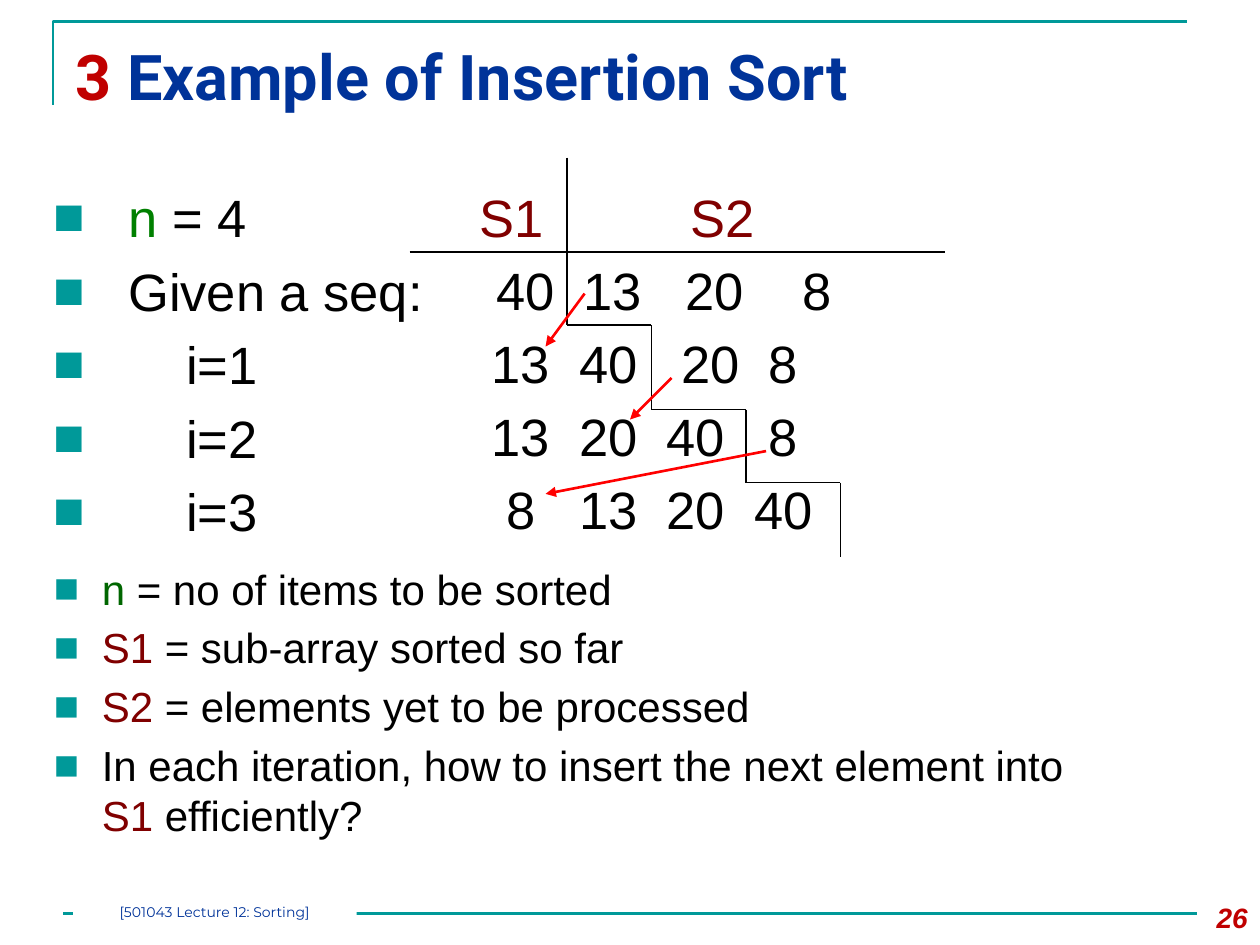
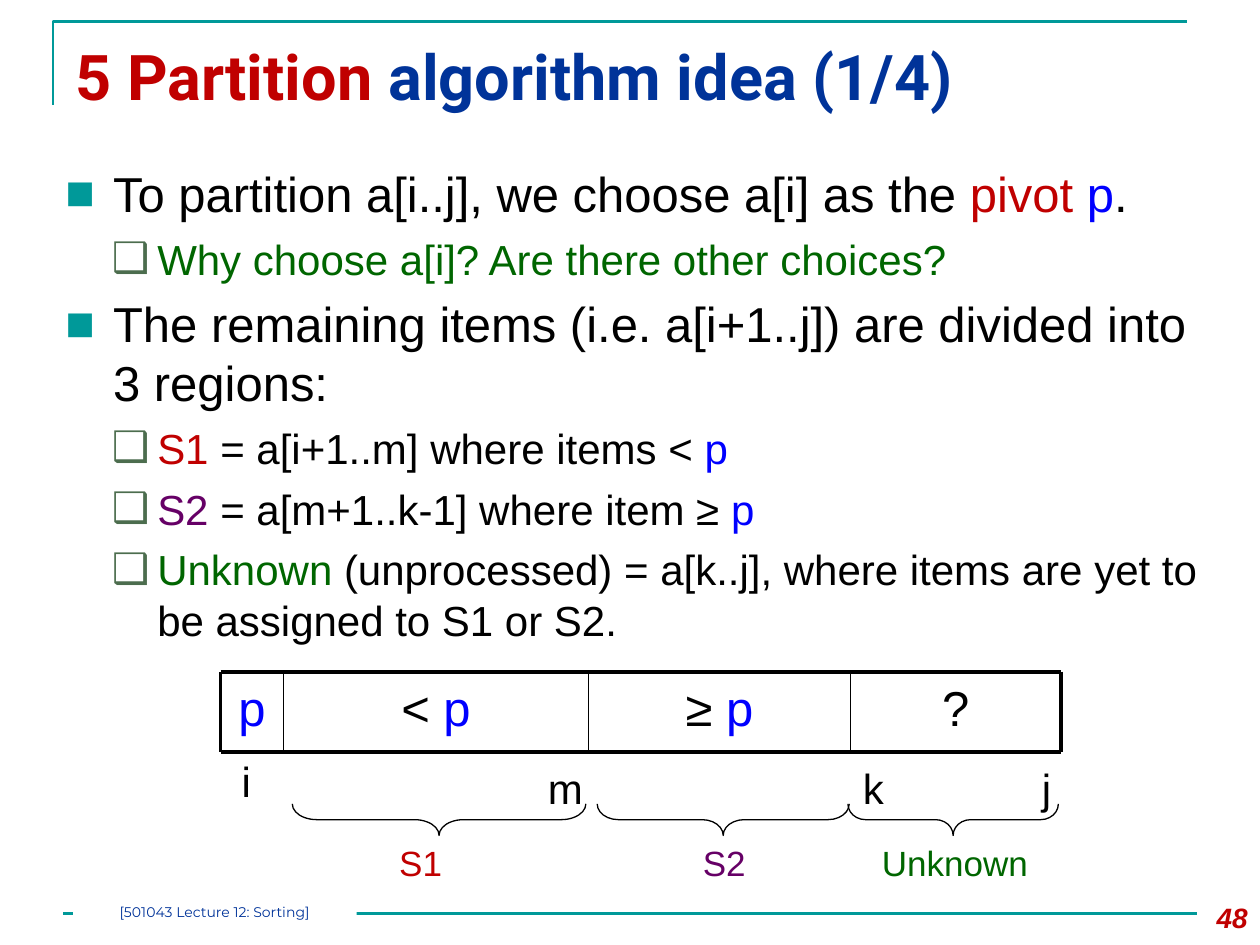
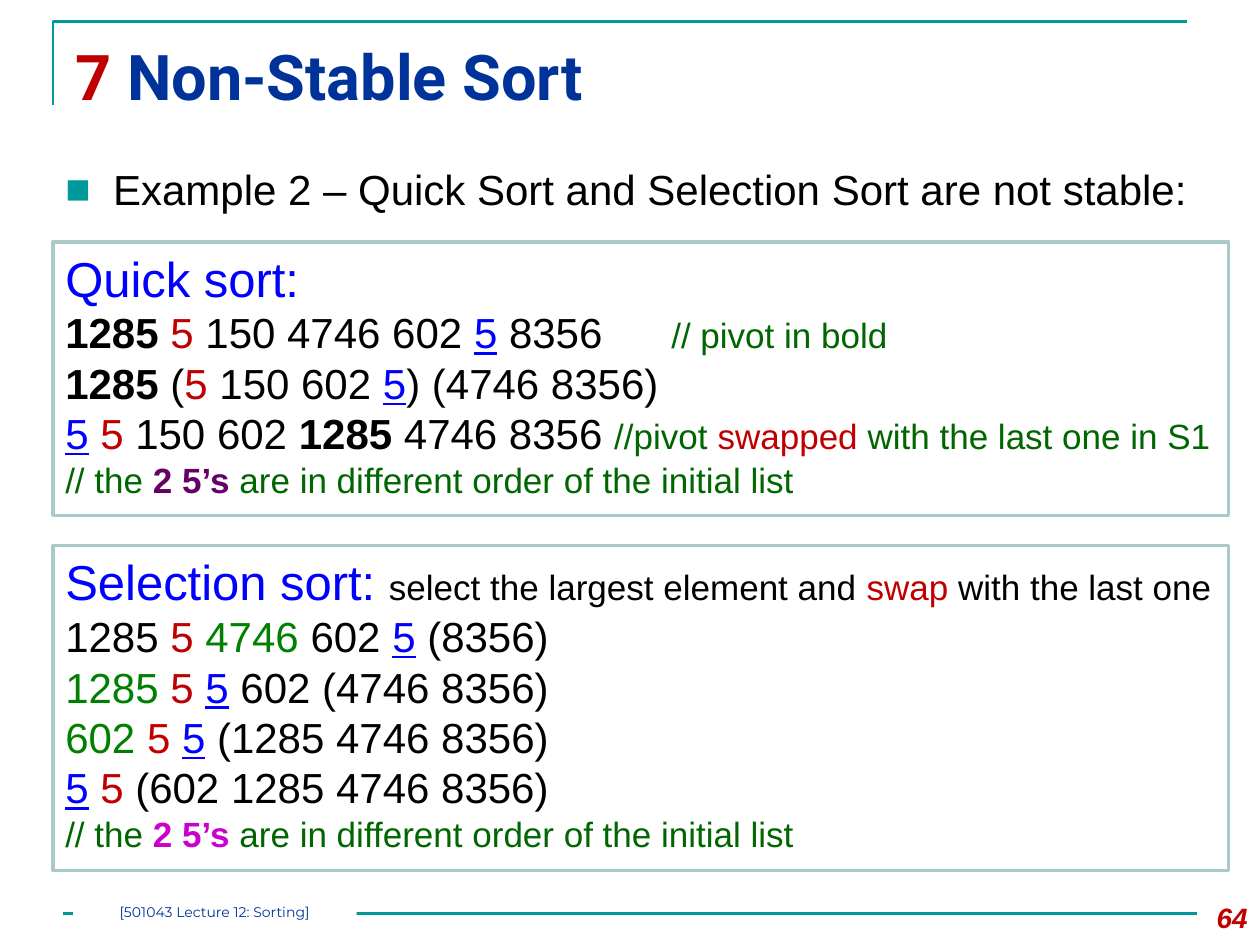
import itertools
from dataclasses import dataclass

import lxml.etree
import pptx
import pptx.dml.color
import pptx.enum.shapes
import pptx.enum.text
import pptx.oxml.ns
import pptx.util

Inches = pptx.util.Inches
ALIGN = pptx.enum.text.PP_ALIGN

COLORS = {
    "teal": "009999", "navy": "003399", "crimson": "C00000", "black": "000000",
    "white": "FFFFFF", "maroon": "800000", "green": "008000", "forest": "006600",
    "blue": "0000FF", "purple": "660066", "magenta": "CC00CC", "red": "FF0000",
    "sage": "4C6D4E", "border": "AACACA",
}
BULLETS = {
    "square": ("■", "teal"),
    "box": ("❑", "sage"),
}


@dataclass
class Line:
    """One paragraph; each run is (text, colour[, style letters[, size]])."""
    size: float
    runs: list
    bullet: str = ""
    margin: float = 0
    hanging: float = 0
    before: float = 0
    tabs: tuple = ()
    align: int = ALIGN.LEFT
    font: str = "Arial"


def rgb(name):
    """Return the named colour."""
    return pptx.dml.color.RGBColor.from_string(COLORS[name])


def add_element(parent, tag, **attributes):
    """Append a drawing element to parent."""
    element = lxml.etree.SubElement(parent, pptx.oxml.ns.qn(tag))
    for name, value in attributes.items():
        element.set(name, str(value))
    return element


def set_bullet_and_tabs(paragraph, line):
    """Give a paragraph its indents, bullet and tab stops."""
    properties = paragraph._p.get_or_add_pPr()
    if line.bullet:
        character, color = BULLETS[line.bullet]
        properties.set("marL", str(Inches(line.margin)))
        properties.set("indent", str(Inches(-line.hanging)))
        bullet_color = add_element(properties, "a:buClr")
        add_element(bullet_color, "a:srgbClr", val=COLORS[color])
        add_element(properties, "a:buSzPct", val=100000)
        add_element(properties, "a:buFont", typeface="Arial")
        add_element(properties, "a:buChar", char=character)
    if line.tabs:
        tab_list = add_element(properties, "a:tabLst")
        for position in line.tabs:
            add_element(tab_list, "a:tab", pos=Inches(position), algn="l")


def write_lines(text_frame, lines):
    """Fill a text frame with formatted lines."""
    for index, line in enumerate(lines):
        paragraph = text_frame.add_paragraph() if index else text_frame.paragraphs[0]
        set_bullet_and_tabs(paragraph, line)
        paragraph.alignment = line.align
        if line.before:
            paragraph.space_before = pptx.util.Pt(line.before)
        for text, color, *extra in line.runs:
            style = extra[0] if extra else ""
            run = paragraph.add_run()
            run.text = text
            run.font.name = line.font
            run.font.size = pptx.util.Pt(extra[1] if len(extra) > 1 else line.size)
            run.font.color.rgb = rgb(color)
            run.font.bold = "b" in style
            run.font.italic = "i" in style
            run.font.underline = "u" in style


def add_text(slide, left, top, width, height, lines, wrap=True):
    """Add a text box."""
    box = slide.shapes.add_textbox(*map(Inches, (left, top, width, height)))
    box.text_frame.word_wrap = wrap
    write_lines(box.text_frame, lines)


def add_panel(slide, left, top, width, height, lines, border=None, inset=None):
    """Add a white rectangle with text."""
    rectangle = pptx.enum.shapes.MSO_SHAPE.RECTANGLE
    shape = slide.shapes.add_shape(rectangle, *map(Inches, (left, top, width, height)))
    shape.shadow.inherit = False
    shape.fill.solid()
    shape.fill.fore_color.rgb = rgb("white")
    if border:
        shape.line.color.rgb = rgb(border)
        shape.line.width = pptx.util.Pt(2)
    else:
        shape.line.fill.background()
    frame = shape.text_frame
    frame.word_wrap = True
    frame.vertical_anchor = pptx.enum.text.MSO_ANCHOR.TOP
    if inset is not None:
        frame.margin_left = frame.margin_right = Inches(inset)
        frame.margin_top = frame.margin_bottom = Inches(inset)
    write_lines(frame, lines)


def add_line(slide, start, end, color="black", width=0.75, arrow=False):
    """Add a straight line, with an arrowhead at its end if asked."""
    straight = pptx.enum.shapes.MSO_CONNECTOR.STRAIGHT
    connector = slide.shapes.add_connector(straight, *map(Inches, (*start, *end)))
    connector.line.color.rgb = rgb(color)
    connector.line.width = pptx.util.Pt(width)
    if arrow:
        add_element(connector.line._get_or_add_ln(), "a:tailEnd", type="triangle")
    add_element(connector._element.spPr, "a:effectLst")


def add_brace(slide, left, top, span):
    """Add a brace that opens upwards over a horizontal span."""
    depth = 0.25
    brace = slide.shapes.add_shape(
        pptx.enum.shapes.MSO_SHAPE.LEFT_BRACE,
        Inches(left + (span - depth) / 2), Inches(top + (depth - span) / 2),
        Inches(depth), Inches(span))
    brace.rotation = 270
    brace.adjustments[0] = span / 3
    brace.shadow.inherit = False
    brace.fill.background()
    brace.line.color.rgb = rgb("black")
    brace.line.width = pptx.util.Pt(0.75)


def add_base_slide(presentation, title_runs, number):
    """Add a slide with the shared frame, title, footer and number."""
    slide = presentation.slides.add_slide(presentation.slide_layouts[6])
    builder = slide.shapes.build_freeform(Inches(0.42), Inches(0.83))
    corner = [(Inches(0.42), Inches(0.17)), (Inches(9.42), Inches(0.17))]
    builder.add_line_segments(corner, close=False)
    frame = builder.convert_to_shape()
    frame.shadow.inherit = False
    frame.fill.background()
    frame.line.color.rgb = rgb("teal")
    frame.line.width = pptx.util.Pt(1.5)
    add_line(slide, (0.5, 7.25), (9.5, 7.25), "teal", 1.5)
    add_text(slide, 0.5, 0.25, 9, 1, [Line(36, title_runs, font="Roboto")])
    add_text(slide, 9.33, 7.1, 0.67, 0.4,
             [Line(16, [(str(number), "crimson", "bi")], align=ALIGN.RIGHT)])
    footer = Line(8, [("[501043 Lecture 12: Sorting]", "navy")],
                  align=ALIGN.CENTER, font="Montserrat")
    add_panel(slide, 0.58, 7.17, 2.25, 0.17, [footer], inset=0)
    return slide


def square_line(size, runs, before=0.0, margin=0.38, hanging=0.38):
    """Return a first-level bullet line."""
    return Line(size, runs, "square", margin, hanging, before)


def box_line(runs):
    """Return a second-level bullet line."""
    return Line(24, runs, "box", 0.73, 0.36, 6)


def add_trace(slide):
    """Place the values of each pass beside its label."""
    row_pitch = 0.58
    rows = [
        ("S1 S2", "maroon", (3.71, 5.38)),
        ("40 13 20 8", "black", (3.84, 4.53, 5.34, 6.27)),
        ("13 40 20 8", "black", (3.8, 4.5, 5.31, 6)),
        ("13 20 40 8", "black", (3.8, 4.5, 5.19, 6)),
        ("8 13 20 40", "black", (3.92, 4.5, 5.19, 5.89)),
    ]
    for index, (values, color, lefts) in enumerate(rows):
        for value, left in zip(values.split(), lefts):
            add_text(slide, left, 1.42 + index * row_pitch, 0.8, row_pitch,
                     [Line(30, [(value, color)])])


def build_insertion_sort(presentation):
    """Build the insertion sort trace."""
    slide = add_base_slide(presentation, [
        ("3 ", "crimson", "b"), ("Example of Insertion Sort", "navy", "b")], 26)
    steps = [square_line(30, [(f"i={step}", "black")], 6, 1.05, 1.05)
             for step in (1, 2, 3)]
    add_text(slide, 0.33, 1.42, 8.5, 5.42, [
        square_line(30, [("n", "green"), (" = 4", "black")], 0, 0.59, 0.59),
        square_line(30, [("Given a seq:", "black")], 6, 0.59, 0.59),
        *steps,
        square_line(24, [("n ", "forest"), ("= no of items to be sorted", "black")], 12),
        square_line(24, [("S1", "maroon"), (" = sub-array sorted so far", "black")], 4.8),
        square_line(24, [("S2", "maroon"),
                         (" = elements yet to be processed", "black")], 4.8),
        square_line(24, [
            ("In each iteration, how to insert the next element into ", "black"),
            ("S1", "maroon"), (" efficiently?", "black")], 4.8),
    ])
    add_trace(slide)

    add_line(slide, (3.25, 2), (7.5, 2))
    staircase = [(4.5, 1.25), (4.5, 2.58), (5.17, 2.58), (5.17, 3.25),
                 (5.92, 3.25), (5.92, 3.83), (6.67, 3.83), (6.67, 4.42)]
    for start, end in itertools.pairwise(staircase):
        add_line(slide, start, end)
    moves = [((4.64, 2.33), (4.33, 2.75)), ((5.33, 3), (5, 3.33)),
             ((6.08, 3.58), (4.33, 3.92))]
    for start, end in moves:
        add_line(slide, start, end, "red", 1.5, arrow=True)


def add_array_diagram(slide):
    """Draw the partitioned array with its indices and regions."""
    top, bottom = 5.33, 5.97
    edges = [1.75, 2.25, 4.67, 6.75, 8.42]
    pivot = ("p", "blue")
    cells = [[pivot], [("< ", "black"), pivot], [("≥ ", "black"), pivot],
             [("?", "black")]]
    for (left, right), runs in zip(itertools.pairwise(edges), cells):
        add_text(slide, left, top, right - left, bottom - top,
                 [Line(28, runs, align=ALIGN.CENTER)])
    for y in (top, bottom):
        add_line(slide, (edges[0], y), (edges[-1], y), width=2.25)
    for x in edges:
        width = 2.25 if x in (edges[0], edges[-1]) else 1
        add_line(slide, (x, top), (x, bottom), width=width)

    indices = [("i", 1.82, 5.95, 0.28), ("m", 4.25, 6, 0.48),
               ("k", 6.75, 6, 0.37), ("j", 8.17, 6, 0.3)]
    for text, left, label_top, width in indices:
        add_text(slide, left, label_top, width, 0.5,
                 [Line(24, [(text, "black")])], wrap=False)
    regions = [("S1", "crimson", 3.07, 0.54, 2.32, 2.33),
               ("S2", "purple", 5.48, 0.54, 4.74, 2),
               ("Unknown", "forest", 6.9, 1.36, 6.73, 1.67)]
    for text, color, left, width, brace_left, span in regions:
        add_text(slide, left, 6.63, width, 0.43,
                 [Line(20, [(text, color)])], wrap=False)
        add_brace(slide, brace_left, 6.38, span)


def build_partition(presentation):
    """Build the partition idea."""
    slide = add_base_slide(presentation, [
        ("5 Partition", "crimson", "b"), (" algorithm idea (1/4)", "navy", "b")], 48)
    pivot = ("p", "blue")
    add_text(slide, 0.42, 1.25, 9.33, 4, [
        square_line(28, [("To partition a[i..j], we choose a[i] as the ", "black"),
                         ("pivot ", "crimson"), pivot, (".", "black")]),
        box_line([("Why choose a[i]? Are there other choices?", "forest")]),
        square_line(28, [("The remaining items (i.e. a[i+1..j]) are divided into "
                          "3 regions:", "black")], 6),
        box_line([("S1 ", "crimson"), ("= a[i+1..m] where items < ", "black"), pivot]),
        box_line([("S2 ", "purple"), ("= a[m+1..k-1] where item ≥ ", "black"), pivot]),
        box_line([("Unknown", "forest"),
                  (" (unprocessed) = a[k..j], where items are yet to be assigned "
                   "to S1 or S2.", "black")]),
    ])
    add_array_diagram(slide)


def order_remark(color):
    """Return the closing remark on the two equal items."""
    return Line(20, [("// the ", "forest"), ("2 5’s ", color, "b"),
                     ("are in different order of the initial list", "forest")])


def build_non_stable(presentation):
    """Build the two non-stable sort examples."""
    slide = add_base_slide(presentation, [
        ("7 ", "crimson", "b"), ("Non-Stable Sort", "navy", "b")], 64)
    add_text(slide, 0.42, 1.25, 9.33, 0.67, [square_line(24, [
        ("Example 2 – Quick Sort and Selection Sort are not stable:", "black")])])

    first, second = ("5", "crimson"), ("5", "blue", "u")
    space, pivot = (" ", "black"), ("1285", "black", "b")
    add_panel(slide, 0.42, 1.92, 9.33, 2.17, [
        Line(28, [("Quick sort:", "blue")]),
        Line(24, [pivot, space, first, (" 150 4746 602 ", "black"), second,
                  (" 8356", "black"), ("\t// pivot in bold", "forest", "", 20)],
             tabs=(4.81,)),
        Line(24, [pivot, (" (", "black"), first, (" 150 602 ", "black"), second,
                  (") (4746 8356)", "black")]),
        Line(24, [second, space, first, (" 150 602 ", "black"), pivot,
                  (" 4746 8356 ", "black"), ("//pivot ", "forest", "", 20),
                  ("swapped", "crimson", "", 20),
                  (" with the last one in S1", "forest", "", 20)]),
        order_remark("purple"),
    ], border="border")
    add_panel(slide, 0.42, 4.33, 9.33, 2.58, [
        Line(28, [("Selection sort: ", "blue"),
                  ("select the largest element and ", "black", "", 20),
                  ("swap", "crimson", "", 20),
                  (" with the last one", "black", "", 20)]),
        Line(24, [("1285 ", "black"), first, space, ("4746", "green"),
                  (" 602 ", "black"), second, (" (8356)", "black")]),
        Line(24, [("1285 ", "green"), first, space, second,
                  (" 602 (4746 8356)", "black")]),
        Line(24, [("602 ", "green"), first, space, second,
                  (" (1285 4746 8356)", "black")]),
        Line(24, [second, space, first, (" (602 1285 4746 8356)", "black")]),
        order_remark("magenta"),
    ], border="border")


def main():
    """Build and save the presentation."""
    presentation = pptx.Presentation()
    presentation.slide_width = Inches(10)
    presentation.slide_height = Inches(7.5)
    build_insertion_sort(presentation)
    build_partition(presentation)
    build_non_stable(presentation)
    presentation.save("out.pptx")


if __name__ == "__main__":
    main()
